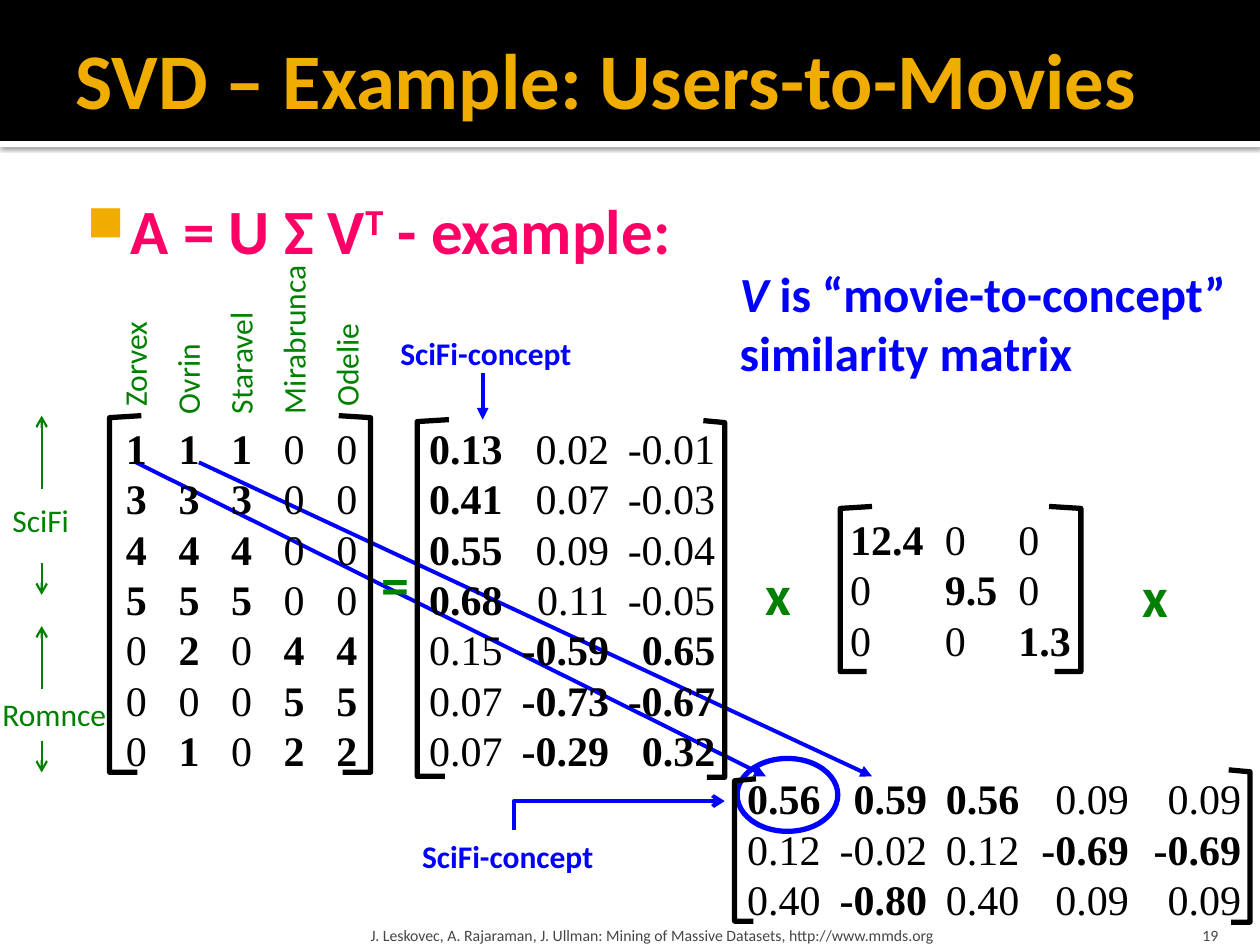
from dataclasses import dataclass
from typing import NamedTuple

from lxml.etree import SubElement
from pptx import Presentation
from pptx.dml.color import RGBColor as RGB
from pptx.enum.shapes import MSO_SHAPE as Shape
from pptx.enum.text import MSO_ANCHOR as Anchor, PP_ALIGN as Align
from pptx.oxml.ns import qn
from pptx.util import Cm, Pt


@dataclass(frozen=True)
class Theme:
    sans: str = "Calibri"
    serif: str = "Times New Roman"
    black: str = "000000"
    white: str = "FFFFFF"
    gold: str = "F0AD00"
    pink: str = "FF0066"
    blue: str = "0000FF"
    green: str = "008000"
    gray: str = "454545"
    title: int = 45
    body: int = 36
    sign: int = 32
    claim: int = 28
    cell: int = 24
    label: int = 18
    foot: int = 9
    pitch: float = 28.76
    thick: float = 3
    line: float = 2.25
    thin: float = 1.25


T = Theme()


class Box(NamedTuple):
    left: float
    top: float
    width: float
    height: float


class Pads(NamedTuple):
    left: float = 0.25
    top: float = 0.13
    right: float = 0.25
    bottom: float = 0.13


class Style(NamedTuple):
    size: float
    color: str
    bold: bool = False
    font: str = T.sans


class Run(NamedTuple):
    text: str
    italic: bool = False
    base: int = 0


class Bracket(NamedTuple):
    """Upright stroke at x; lips point right if positive, left if negative."""
    x: float
    top: float
    bottom: float
    upper: float
    lower: float


class Arrow(NamedTuple):
    x1: float
    y1: float
    x2: float
    y2: float
    color: str = T.blue
    width: float = T.line
    head: str = "triangle"


class Matrix(NamedTuple):
    """Rows are split at blanks; a star marks a bold value."""
    box: Box
    inset: float
    stops: list[float]
    side: str
    rows: list[str]


def add_run(par, run: Run, style: Style) -> None:
    item = par.add_run()
    item.text = run.text
    font = item.font
    font.name, font.size = style.font, Pt(style.size)
    font.bold, font.italic = style.bold, run.italic
    font.color.rgb = RGB.from_string(style.color)
    if run.base:
        item._r.get_or_add_rPr().set("baseline", str(run.base * 1000))


def add_frame(slide, box: Box, pads: Pads, anchor, wrap: bool, turn: int = 0):
    shape = slide.shapes.add_textbox(*map(Cm, box))
    shape.rotation = turn
    frame = shape.text_frame
    frame.word_wrap, frame.vertical_anchor = wrap, anchor
    frame.margin_left, frame.margin_top, frame.margin_right, frame.margin_bottom = map(Cm, pads)
    return frame


def add_text(slide, box: Box, style: Style, *lines: list[Run], pads=Pads(),
             anchor=Anchor.MIDDLE, wrap=False, align=Align.LEFT, turn=0, space=1.0) -> list:
    frame = add_frame(slide, box, pads, anchor, wrap, turn)
    pars = [frame.paragraphs[0]] + [frame.add_paragraph() for _ in lines[1:]]
    for par, runs in zip(pars, lines):
        par.alignment, par.line_spacing = align, space
        for run in runs:
            add_run(par, run, style)
    return pars


def set_indent(par, left: float, first: float = 0) -> None:
    props = par._p.get_or_add_pPr()
    props.set("marL", str(Cm(left)))
    props.set("indent", str(Cm(first)))


def add_bullet(par, color: str) -> None:
    props = par._p.get_or_add_pPr()
    SubElement(SubElement(props, qn("a:buClr")), qn("a:srgbClr"), val=color)
    SubElement(props, qn("a:buSzPct"), val="80000")
    SubElement(props, qn("a:buChar"), char="■")


def add_matrix(slide, mat: Matrix) -> None:
    frame = add_frame(slide, mat.box, Pads(mat.inset, 0.14, 0), Anchor.TOP, True)
    for n, row in enumerate(mat.rows):
        par = frame.add_paragraph() if n else frame.paragraphs[0]
        par.line_spacing = Pt(T.pitch)
        tabs = SubElement(par._p.get_or_add_pPr(), qn("a:tabLst"))
        for stop in mat.stops:
            SubElement(tabs, qn("a:tab"), pos=str(Cm(stop)), algn=mat.side)
        for col, cell in enumerate(row.split()):
            text = ("\t" if col else "") + cell.strip("*")
            add_run(par, Run(text), Style(T.cell, T.black, "*" in cell, T.serif))


def set_line(shape, color: str, width: float, head: str = "") -> None:
    shape.line.color.rgb = RGB.from_string(color)
    shape.line.width = Pt(width)
    if head:
        SubElement(shape.line._get_or_add_ln(), qn("a:tailEnd"), type=head)


def add_arrow(slide, arrow: Arrow) -> None:
    line = slide.shapes.add_connector(1, *map(Cm, arrow[:4]))
    set_line(line, arrow.color, arrow.width, arrow.head)
    SubElement(line._element.spPr, qn("a:effectLst"))


def add_path(slide, points: list[tuple[float, float]], color: str, width: float, head="") -> None:
    start, *rest = [(Cm(x), Cm(y)) for x, y in points]
    pen = slide.shapes.build_freeform(*start)
    pen.add_line_segments(rest, close=False)
    shape = pen.convert_to_shape()
    shape.shadow.inherit = False
    shape.fill.background()
    set_line(shape, color, width, head)


def add_bracket(slide, b: Bracket) -> None:
    points = [(b.x + b.upper, b.top), (b.x, b.top + 0.04), (b.x, b.bottom), (b.x + b.lower, b.bottom)]
    add_path(slide, points, T.black, T.thick)


def add_band(slide, box: Box, color: str):
    band = slide.shapes.add_shape(Shape.RECTANGLE, *map(Cm, box))
    band.shadow.inherit = False
    band.fill.solid()
    band.fill.fore_color.rgb = RGB.from_string(color)
    band.line.fill.background()
    return band


def add_shade(shape) -> None:
    effects = shape._element.spPr.find(qn("a:effectLst"))
    shade = SubElement(effects, qn("a:outerShdw"), blurRad=str(Pt(2.5)), dist=str(Pt(0.8)),
                       dir="5400000", algn="t", rotWithShape="0")
    color = SubElement(shade, qn("a:srgbClr"), val=T.black)
    SubElement(color, qn("a:alpha"), val="60000")


ARROWS = [Arrow(9.73, 7.52, 9.73, 8.46), Arrow(2.74, 9.32, 15.44, 15.65), Arrow(4.01, 9.32, 17.58, 15.65)]
ARROWS += [Arrow(0.84, y1, 0.84, y2, T.green, T.thin, "arrow")
           for y1, y2 in ((9.86, 8.38), (11.35, 11.99), (13.89, 12.62), (14.94, 15.57))]

BRACKETS = [
    Bracket(2.21, 8.38, 15.57, 0.64, 0.56), Bracket(7.47, 8.38, 15.57, -0.64, -0.56),
    Bracket(8.41, 8.46, 15.65, 0.64, 0.56), Bracket(14.61, 8.48, 15.67, -0.43, -0.36),
    Bracket(16.94, 10.21, 13.54, 0.64, 0.53), Bracket(21.79, 10.21, 13.54, -0.64, -0.53),
    Bracket(14.81, 15.7, 18.57, 0.43, 0.38), Bracket(25.2, 15.52, 18.59, -0.43, -0.38),
]

MATRICES = [
    Matrix(Box(2.11, 8.38, 5.51, 7.44), 0.43, [1.06 * n for n in range(1, 5)], "l",
           ["1* 1* 1* 0 0", "3* 3* 3* 0 0", "4* 4* 4* 0 0", "5* 5* 5* 0 0",
            "0 2* 0 4* 4*", "0 0 0 5* 5*", "0 1* 0 2* 2*"]),
    Matrix(Box(8.05, 8.38, 6.99, 7.44), 0.6, [3.63, 5.77], "r",
           ["0.13* 0.02 -0.01", "0.41* 0.07 -0.03", "0.55* 0.09 -0.04", "0.68* 0.11 -0.05",
            "0.15 -0.59* 0.65*", "0.07 -0.73* -0.67*", "0.07 -0.29* 0.32*"]),
    Matrix(Box(16.89, 10.21, 5.51, 3.33), 0.25, [1.91, 3.39], "l",
           ["12.4* 0 0", "0 9.5* 0", "0 0 1.3*"]),
    Matrix(Box(14.81, 15.44, 10.59, 3.33), 0.25, [3.63, 5.49, 7.7, 9.96], "r",
           ["0.56* 0.59* 0.56* 0.09 0.09", "0.12 -0.02 0.12 -0.69* -0.69*",
            "0.40 -0.80* 0.40 0.09 0.09"]),
]


def add_head(slide) -> None:
    add_shade(add_band(slide, Box(0, 2.84, 25.4, 0.13), T.white))
    add_band(slide, Box(0, 0, 25.4, 2.84), T.black)
    add_text(slide, Box(1.27, 0.2, 22.86, 2.74), Style(T.title, T.gold, True),
             [Run("SVD – Example: Users-to-Movies")], pads=Pads(0.25, 0.13, 0.13), wrap=True)
    par, = add_text(slide, Box(1.27, 3.61, 22.86, 3.25), Style(T.body, T.pink, True),
                    [Run("A = U Σ V"), Run("T", base=30), Run(" - example:")],
                    pads=Pads(0.15, 0.25), anchor=Anchor.TOP, wrap=True)
    set_indent(par, 1.22, -0.89)
    add_bullet(par, T.gold)


def add_labels(slide) -> None:
    note, tag = Style(T.label, T.blue, True), Style(T.label, T.green)
    for left, top in ((7.82, 6.6), (8.26, 16.74)):
        add_text(slide, Box(left, top, 4.24, 1.02), note, [Run("SciFi-concept")])
    add_text(slide, Box(14.66, 5.18, 10.74, 2.64), Style(T.claim, T.blue, True),
             [Run("V", italic=True), Run(" is “movie-to-concept”")], [Run("similarity matrix")])
    for sign, left, top in (("=", 7.44, 10.95), ("x", 15.19, 11.15), ("x", 22.78, 11.18)):
        add_text(slide, Box(left, top, 1.12, 1.63), Style(T.sign, T.green, True), [Run(sign)])
    add_text(slide, Box(0, 9.98, 1.75, 1.02), tag, [Run("SciFi")])
    add_text(slide, Box(-0.2, 13.89, 2.69, 1.02), tag, [Run("Romnce")])
    films = [[Run(name)] for name in ("Zorvex", "Ovrin", "Staravel", "Mirabrunca", "Odelie")]
    pars = add_text(slide, Box(2.95, 4.01, 3.53, 5.64), tag, *films,
                    anchor=Anchor.TOP, turn=270, space=1.4)
    for par in (pars[0], pars[-1]):
        set_indent(par, 0.15)


def add_foot(slide) -> None:
    style = Style(T.foot, T.gray)
    add_text(slide, Box(7.34, 18.29, 15.29, 0.76), style,
             [Run("J. Leskovec, A. Rajaraman, J. Ullman: Mining of Massive Datasets, http://www.mmds.org")],
             pads=Pads(0.13, 0.13, 0.13, 0), anchor=Anchor.BOTTOM, wrap=True)
    add_text(slide, Box(22.78, 18.29, 2.03, 0.76), style, [Run("19")],
             pads=Pads(bottom=0), anchor=Anchor.BOTTOM, wrap=True, align=Align.RIGHT)


def main() -> None:
    deck = Presentation()
    deck.slide_width, deck.slide_height = Cm(25.4), Cm(19.05)
    slide = deck.slides.add_slide(deck.slide_layouts[6])
    add_head(slide)
    add_foot(slide)
    for arrow in ARROWS:
        add_arrow(slide, arrow)
    add_path(slide, [(10.36, 16.74), (10.36, 16.15), (14.61, 16.15)], T.blue, T.line, "arrow")
    ring = slide.shapes.add_shape(Shape.OVAL, *map(Cm, Box(14.86, 15.29, 2.03, 1.47)))
    ring.shadow.inherit = False
    ring.fill.background()
    set_line(ring, T.blue, T.thick)
    for bracket in BRACKETS:
        add_bracket(slide, bracket)
    add_labels(slide)
    for matrix in MATRICES:
        add_matrix(slide, matrix)
    deck.save("out.pptx")


if __name__ == "__main__":
    main()
